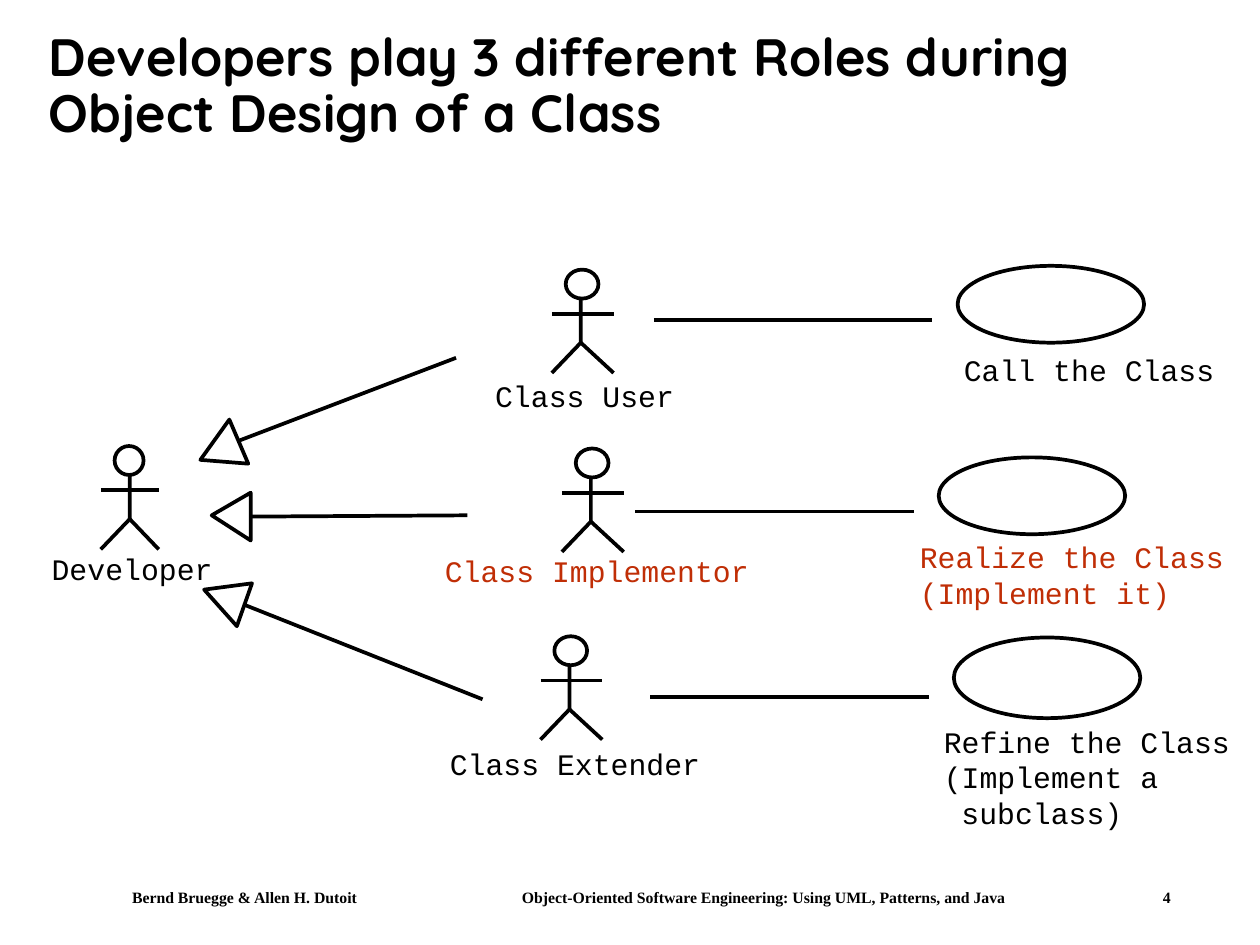
from dataclasses import dataclass

from lxml import etree
from pptx import Presentation
from pptx import util as u
from pptx.dml.color import RGBColor
from pptx.enum import shapes, text
from pptx.oxml.ns import qn

PX = 9144  # EMU per px, 100 px to the inch
BLACK, RED, WHITE = "000000", "C02E06", "FFFFFF"
LINE_WIDTH = u.Pt(2.13)

Point = tuple[int, int]
Box = tuple[int, int, int, int]


@dataclass(frozen=True)
class Label:
    box: Box
    lines: tuple[str, ...]
    color: str = BLACK
    last_indent: int = 0


@dataclass(frozen=True)
class Actor:
    neck: Point
    reach: int  # width of the right arm, and of the head
    label: Label


@dataclass(frozen=True)
class Generalization:
    start: Point
    corners: tuple[Point, Point]
    tip: Point


@dataclass(frozen=True)
class UseCase:
    oval: Box
    label: Label
    link_start: Point
    link_end: Point


ACTORS = (
    Actor((103, 372), 23, Label((41, 437, 128, 28), ("Developer",))),
    Actor((461, 232), 26, Label((393, 300, 143, 28), ("Class User",))),
    Actor((469, 374), 26, Label((353, 439, 242, 28), ("Class Implementor",), RED)),
    Actor((452, 523), 26, Label((357, 592, 200, 28), ("Class Extender",))),
)
GENERALIZATIONS = (
    Generalization((362, 284), ((197, 368), (182, 333)), (159, 365)),
    Generalization((371, 409), ((199, 429), (199, 391)), (168, 409)),
    Generalization((383, 555), ((188, 497), (200, 463)), (162, 468)),
)
USE_CASES = (
    UseCase((760, 211, 148, 61),
            Label((765, 279, 200, 28), ("Call the Class",)),
            (519, 254), (740, 254)),
    UseCase((745, 363, 148, 61),
            Label((730, 428, 242, 57), ("Realize the Class", "(Implement it)"), RED),
            (504, 406), (725, 406)),
    UseCase((757, 506, 148, 64),
            Label((749, 574, 228, 85),
                  ("Refine the Class", "(Implement a", "subclass)"), last_indent=14),
            (516, 553), (737, 553)),
)
FOOTERS = (
    ((95, 700, 240, 25), "Bernd Bruegge & Allen H. Dutoit", text.PP_ALIGN.LEFT),
    ((386, 700, 440, 25),
     "Object-Oriented Software Engineering: Using UML, Patterns, and Java",
     text.PP_ALIGN.CENTER),
    ((889, 700, 50, 25), "4", text.PP_ALIGN.RIGHT),
)


def rgb(color: str) -> RGBColor:
    return RGBColor.from_string(color)


def emu(*lengths: int) -> list[int]:
    return [length * PX for length in lengths]


def set_font(paragraph, name: str, size: int, color: str, bold: bool = False) -> None:
    font = paragraph.font
    font.name, font.size, font.bold = name, u.Pt(size), bold
    font.color.rgb = rgb(color)


def set_outline(shape) -> None:
    shape.line.color.rgb = rgb(BLACK)
    shape.line.width = LINE_WIDTH


def add_line(slide, start: Point, end: Point) -> None:
    connector = slide.shapes.add_connector(
        shapes.MSO_CONNECTOR.STRAIGHT, *emu(*start, *end))
    set_outline(connector)
    etree.SubElement(connector._element.spPr, qn("a:effectLst"))


def add_path(slide, points: list[Point], close: bool) -> None:
    builder = slide.shapes.build_freeform(*points[0], scale=PX)
    builder.add_line_segments(points[1:], close=close)
    shape = builder.convert_to_shape()
    shape.shadow.inherit = False
    shape.fill.background()
    set_outline(shape)


def add_ellipse(slide, box: Box, fill: str | None = None) -> None:
    shape = slide.shapes.add_shape(shapes.MSO_SHAPE.OVAL, *emu(*box))
    shape.shadow.inherit = False
    if fill:
        shape.fill.solid()
        shape.fill.fore_color.rgb = rgb(fill)
    else:
        shape.fill.background()
    set_outline(shape)


def add_label(slide, label: Label) -> None:
    frame = slide.shapes.add_textbox(*emu(*label.box)).text_frame
    frame.margin_left = frame.margin_right = 0
    frame.margin_top = frame.margin_bottom = 0
    frame.word_wrap = False
    frame.auto_size = text.MSO_AUTO_SIZE.SHAPE_TO_FIT_TEXT
    frame.text = "\n".join(label.lines)
    for paragraph in frame.paragraphs:
        set_font(paragraph, "Courier New", 17, label.color)
    if label.last_indent:
        properties = frame.paragraphs[-1]._p.get_or_add_pPr()
        properties.set("marL", str(label.last_indent * PX))


def add_actor(slide, actor: Actor) -> None:
    x, y = actor.neck
    left, right = x - 23, x + actor.reach
    hip, feet, arms = y + 40, y + 64, y + 17
    add_path(slide, [(x, y), (x, hip), (left, feet)], close=False)
    add_line(slide, (x, hip), (right, feet))
    add_line(slide, (left, arms), (right, arms))
    add_ellipse(slide, (x - 12, y - 18, actor.reach, 23), WHITE)
    add_label(slide, actor.label)


def add_generalization(slide, arrow: Generalization) -> None:
    """Draw a hollow triangle with a line to the middle of its base."""
    (x1, y1), (x2, y2) = arrow.corners
    add_path(slide, [(x1, y1), arrow.tip, (x2, y2)], close=True)
    add_line(slide, arrow.start, ((x1 + x2) // 2, (y1 + y2) // 2))


def add_use_case(slide, case: UseCase) -> None:
    add_ellipse(slide, case.oval)
    add_label(slide, case.label)
    add_line(slide, case.link_start, case.link_end)


def add_title(slide) -> None:
    frame = slide.shapes.add_textbox(*emu(29, 31, 954, 77)).text_frame
    frame.word_wrap = True
    frame.vertical_anchor = text.MSO_ANCHOR.MIDDLE
    frame.text = "Developers play 3 different Roles during Object Design of a Class"
    paragraph = frame.paragraphs[0]
    paragraph.line_spacing = 0.9
    set_font(paragraph, "Quicksand", 30, BLACK, bold=True)


def add_footer(slide, box: Box, words: str, alignment: text.PP_ALIGN) -> None:
    frame = slide.shapes.add_textbox(*emu(*box)).text_frame
    frame.word_wrap = True
    frame.text = words
    paragraph = frame.paragraphs[0]
    paragraph.alignment = alignment
    set_font(paragraph, "Times New Roman", 9, BLACK, bold=True)


def main() -> None:
    presentation = Presentation()
    presentation.slide_width, presentation.slide_height = emu(1000, 750)
    slide = presentation.slides.add_slide(presentation.slide_layouts[6])
    add_title(slide)
    for actor in ACTORS:
        add_actor(slide, actor)
    for arrow in GENERALIZATIONS:
        add_generalization(slide, arrow)
    for case in USE_CASES:
        add_use_case(slide, case)
    for footer in FOOTERS:
        add_footer(slide, *footer)
    presentation.save("out.pptx")


if __name__ == "__main__":
    main()
